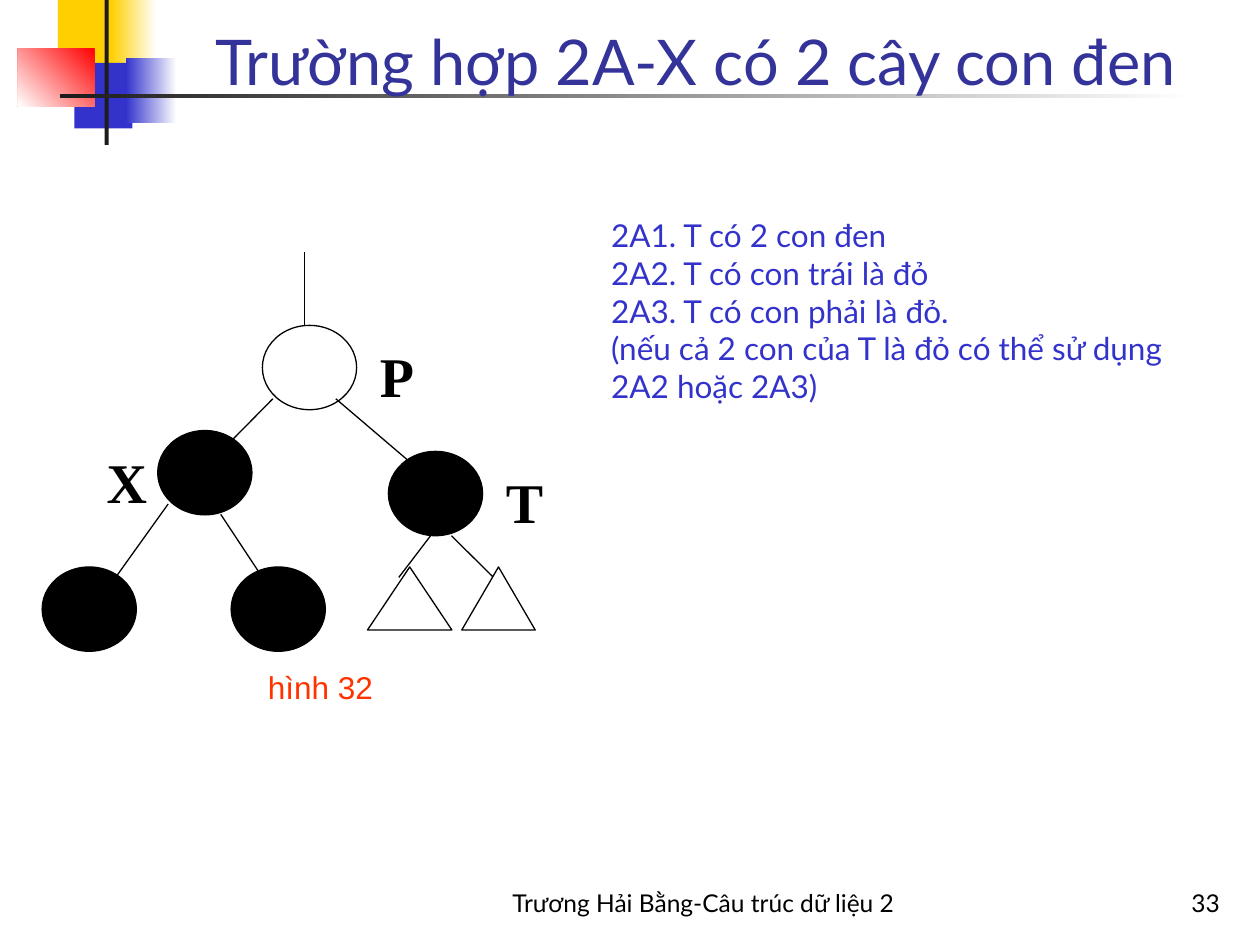
import pptx
import pptx.dml.color
import pptx.enum.shapes
import pptx.enum.text
import pptx.oxml
import pptx.util

Cm = pptx.util.Cm
Pt = pptx.util.Pt
Kind = pptx.enum.shapes.MSO_SHAPE
Align = pptx.enum.text.PP_ALIGN
Anchor = pptx.enum.text.MSO_ANCHOR

COLORS = {
    "white": "FFFFFF", "black": "000000", "gold": "FFCF01", "blue": "3333CC",
    "red": "FF0000", "dark": "1C1C1C", "title": "333399", "orange": "FF3300",
}
RGB = {name: pptx.dml.color.RGBColor.from_string(code) for name, code in COLORS.items()}

deck = pptx.Presentation()
deck.slide_width, deck.slide_height = Cm(25.4), Cm(19.05)
slide = deck.slides.add_slide(deck.slide_layouts[6])
shapes = slide.shapes


def add_text(text, box, size=18, font="Lato", color="black", bold=False,
             align=Align.LEFT, anchor=Anchor.TOP):
    frame = shapes.add_textbox(*map(Cm, box)).text_frame
    frame.word_wrap = True
    frame.vertical_anchor = anchor
    frame.text = text
    for para in frame.paragraphs:
        para.alignment = align
        for run in para.runs:
            run.font.size, run.font.name, run.font.bold = Pt(size), font, bold
            run.font.color.rgb = RGB[color]


def add_form(kind, box, fill, line=None):
    """Add a preset shape with a plain fill and an optional thin outline."""
    form = shapes.add_shape(kind, *map(Cm, box))
    form.shadow.inherit = False
    form.fill.solid()
    form.fill.fore_color.rgb = RGB[fill]
    if line:
        form.line.color.rgb = RGB[line]
        form.line.width = Pt(0.75)
    else:
        form.line.fill.background()
    return form


# Corner ornament: box, colour, then end colour and angle where it fades
bars = [
    ((1.17, 0, 1.22, 1.32), "gold", None, 0),
    ((2.24, 0, 0.91, 1.32), "white", "gold", 180),
    ((1.5, 1.27, 1.17, 1.32), "blue", None, 0),
    ((2.54, 1.17, 1.02, 1.32), "white", "blue", 180),
    ((0.36, 0.97, 1.55, 1.17), "red", "white", 225),
    ((2.11, 0, 0.08, 2.92), "dark", None, 0),
    ((1.22, 1.9, 22.86, 0.08), "white", "dark", 180),
]
for box, start, end, angle in bars:
    bar = add_form(Kind.RECTANGLE, box, start)
    if end:
        bar.fill.gradient()
        bar.fill.gradient_angle = angle
        for stop, name in zip(bar.fill.gradient_stops, (start, end)):
            stop.color.rgb = RGB[name]

add_text("Trường hợp 2A-X có 2 cây con đen", (3.2, 0.58, 21.64, 1.52), size=36,
         color="title", align=Align.CENTER, anchor=Anchor.BOTTOM)

# Tree nodes
nodes = [(3.18, 8.68, "black"), (5.29, 6.56, "white"), (7.83, 9.1, "black"),
         (0.85, 11.43, "black"), (4.66, 11.43, "black")]
for x, y, fill in nodes:
    add_form(Kind.OVAL, (x, y, 1.9, 1.7), fill, "black")

# Tree edges
edges = [
    (5.5, 8.04, 4.66, 8.89), (3.39, 10.16, 2.33, 11.64),
    (4.45, 10.37, 5.29, 11.64), (6.77, 8.04, 8.26, 9.31),
    (6.14, 6.56, 6.14, 5.08), (8.68, 10.8, 8.04, 11.64),
    (9.1, 10.8, 9.95, 11.64),
]
for ends in edges:
    edge = shapes.add_connector(pptx.enum.shapes.MSO_CONNECTOR.STRAIGHT, *map(Cm, ends))
    edge.line.color.rgb = RGB["black"]
    edge.line.width = Pt(0.75)
    props = edge._element.spPr
    props.append(pptx.oxml.parse_xml(
        '<a:effectLst xmlns:a="http://schemas.openxmlformats.org/drawingml/2006/main"/>'))

for name, x, y in [("P", 7.41, 6.77), ("T", 9.95, 9.31), ("X", 1.9, 8.89)]:
    add_text(name, (x, y, 1.27, 1.63), size=32, font="Times New Roman", bold=True)

# Subtrees of T
for x, width in [(7.41, 1.7), (9.31, 1.48)]:
    add_form(Kind.ISOSCELES_TRIANGLE, (x, 11.43, width, 1.27), "white", "black")

cases = [
    "2A1. T có 2 con đen",
    "2A2. T có con trái là đỏ",
    "2A3. T có con phải là đỏ. \v(nếu cả 2 con của T là đỏ có thể sử dụng 2A2 hoặc 2A3)",
]
add_text("\n".join(cases), (12.07, 4.23, 12.5, 4.06), color="blue")
add_text("hình 32", (4.66, 13.34, 3.6, 1.02), font="Arial", color="orange",
         align=Align.CENTER)

# Footer
add_text("Trương Hải Bằng-Câu trúc dữ liệu 2", (8.89, 17.35, 10.58, 1.27), size=14,
         align=Align.CENTER, anchor=Anchor.BOTTOM)
add_text("33", (19.56, 17.35, 5.28, 1.27), size=14, align=Align.RIGHT,
         anchor=Anchor.BOTTOM)

deck.save("out.pptx")
